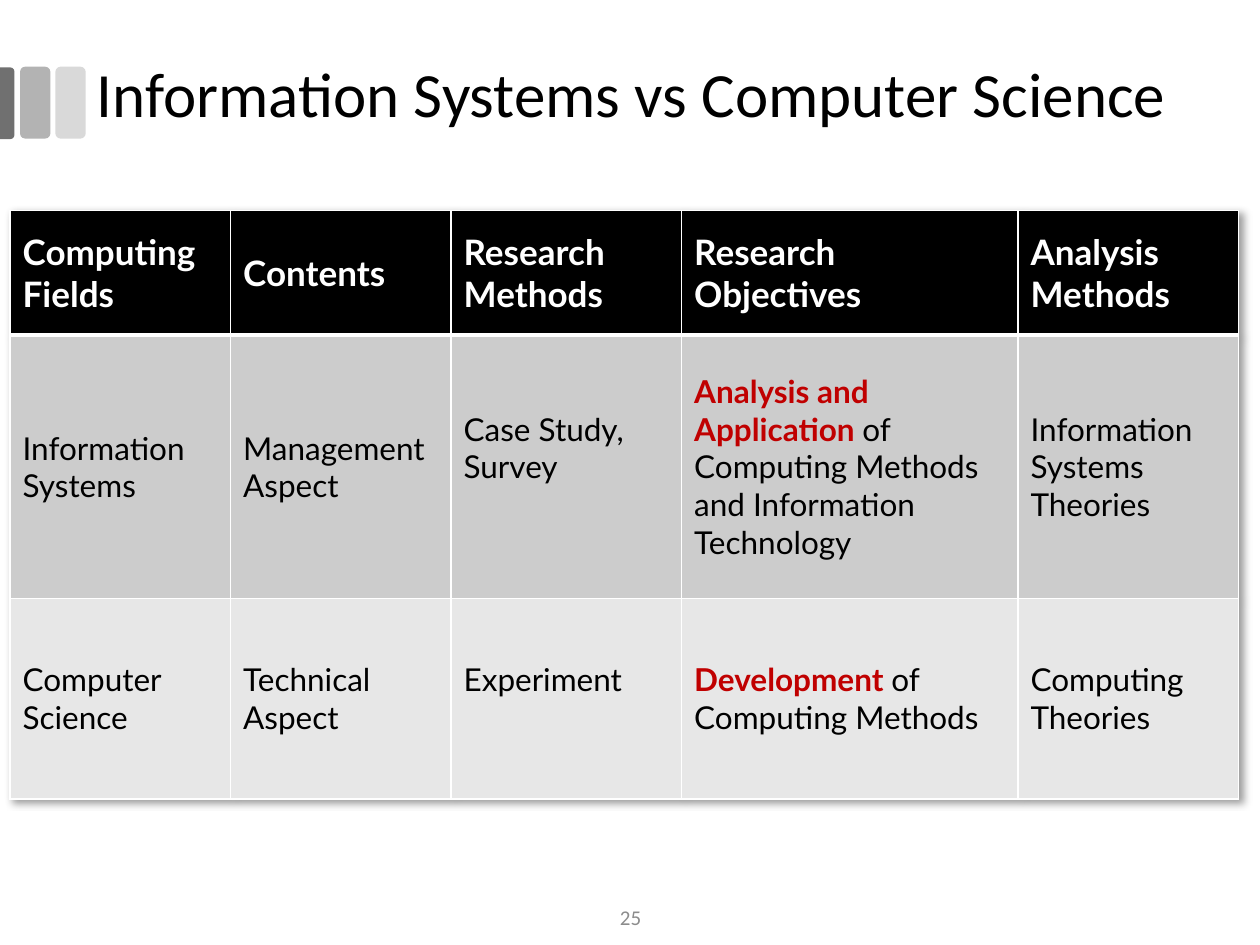
import pptx
import pptx.dml.color
import pptx.enum.shapes
import pptx.enum.text
import pptx.oxml
import pptx.oxml.ns
import pptx.util
from pptx.util import Inches


class Theme:
    black, white, red, muted = "000000", "FFFFFF", "C00000", "8C8C8C"
    bars = ("D9D9D9", "B3B3B3", "707070")
    rows = ("000000", "CCCCCC", "E7E7E7")
    title_font, table_font = "Calibri", "Lato"
    title_size, header_size, body_size, number_size = 36, 20, 18, 12


def set_font(font, name, size, color, bold=False):
    font.name, font.size, font.bold = name, pptx.util.Pt(size), bold
    font.color.rgb = pptx.dml.color.RGBColor.from_string(color)


def add_label(slide, text, box, size, color):
    frame = slide.shapes.add_textbox(*map(Inches, box)).text_frame
    frame.word_wrap = True
    frame.vertical_anchor = pptx.enum.text.MSO_ANCHOR.MIDDLE
    paragraph = frame.paragraphs[0]
    paragraph.text = text
    set_font(paragraph.font, Theme.title_font, size, color)
    return paragraph


presentation = pptx.Presentation()
presentation.slide_width, presentation.slide_height = Inches(10), Inches(7.5)
slide = presentation.slides.add_slide(presentation.slide_layouts[6])

# Bars beside the title; the last one is turned and runs to the slide edge
SHAPES = pptx.enum.shapes.MSO_SHAPE
bars = [
    (SHAPES.ROUNDED_RECTANGLE, (0.44, 0.53, 0.24, 0.57), 0),
    (SHAPES.ROUNDED_RECTANGLE, (0.16, 0.53, 0.24, 0.57), 0),
    (SHAPES.ROUND_2_SAME_RECTANGLE, (-0.23, 0.76, 0.57, 0.12), 90),
]
for (kind, box, rotation), color in zip(bars, Theme.bars):
    shape = slide.shapes.add_shape(kind, *map(Inches, box))
    shape.rotation = rotation
    shape.shadow.inherit = False
    shape.fill.solid()
    shape.fill.fore_color.rgb = pptx.dml.color.RGBColor.from_string(color)
    shape.line.fill.background()
    if rotation:
        shape.adjustments[0] = 0.29

# Title
title = add_label(slide, "Information Systems vs Computer Science",
                  (0.67, 0.42, 9.5, 0.7), Theme.title_size, Theme.black)
title.line_spacing = 0.9

# Comparison table: a cell is a list of paragraphs, each (red lead, rest)
rows = [
    [[("", "Computing Fields")], [("", "Contents")], [("", "Research Methods")],
     [("", "Research Objectives")], [("", "Analysis Methods")]],
    [[("", "Information Systems")], [("", "Management Aspect")],
     [("", "Case Study, Survey")],
     [("Analysis and Application ",
       "of Computing Methods and Information Technology")],
     [("", "Information Systems"), ("", "Theories")]],
    [[("", "Computer Science")], [("", "Technical Aspect")],
     [("", "Experiment")], [("Development ", "of Computing Methods")],
     [("", "Computing Theories")]],
]
column_widths = (1.75, 1.75, 1.83, 2.67, 1.75)
row_heights = (0.99, 2.09, 1.59)
methods_column = 2
table = slide.shapes.add_table(
    len(rows), len(column_widths), Inches(0.08), Inches(1.67),
    Inches(sum(column_widths)), Inches(sum(row_heights))).table
for column, width in zip(table.columns, column_widths):
    column.width = Inches(width)
for row, height in zip(table.rows, row_heights):
    row.height = Inches(height)

for row_index, row in enumerate(rows):
    header = row_index == 0
    size = Theme.header_size if header else Theme.body_size
    color = Theme.white if header else Theme.black
    for column_index, paragraphs in enumerate(row):
        cell = table.cell(row_index, column_index)
        cell.vertical_anchor = pptx.enum.text.MSO_ANCHOR.MIDDLE
        if column_index == methods_column and not header:
            cell.margin_bottom = Inches(0.35)

        # White borders, heavier under the header
        widths = {"lnL": 1, "lnR": 1, "lnT": 3 if row_index == 1 else 1,
                  "lnB": 3 if header else 1}
        for side, points in widths.items():
            cell._tc.get_or_add_tcPr().append(pptx.oxml.parse_xml(
                f'<a:{side} {pptx.oxml.ns.nsdecls("a")} w="{pptx.util.Pt(points)}">'
                f'<a:solidFill><a:srgbClr val="{Theme.white}"/></a:solidFill>'
                f'</a:{side}>'))
        cell.fill.solid()
        cell.fill.fore_color.rgb = pptx.dml.color.RGBColor.from_string(
            Theme.rows[row_index])

        for index, (lead, rest) in enumerate(paragraphs):
            frame = cell.text_frame
            paragraph = frame.add_paragraph() if index else frame.paragraphs[0]
            set_font(paragraph.font, Theme.table_font, size, color, header)
            if lead:
                run = paragraph.add_run()
                run.text = lead
                set_font(run.font, Theme.table_font, size, Theme.red, True)
            run = paragraph.add_run()
            run.text = rest
            set_font(run.font, Theme.table_font, size, color, header)

# Soft shadow behind the table
table._tbl.tblPr.insert(0, pptx.oxml.parse_xml(
    f'<a:effectLst {pptx.oxml.ns.nsdecls("a")}>'
    '<a:outerShdw blurRad="50800" dist="38100" dir="2700000" algn="tl" rotWithShape="0">'
    f'<a:srgbClr val="{Theme.black}"><a:alpha val="40000"/></a:srgbClr>'
    '</a:outerShdw></a:effectLst>'))

# Slide number
number = add_label(slide, "25", (3.88, 7.08, 2.25, 0.4),
                   Theme.number_size, Theme.muted)
number.alignment = pptx.enum.text.PP_ALIGN.CENTER

presentation.save("out.pptx")
